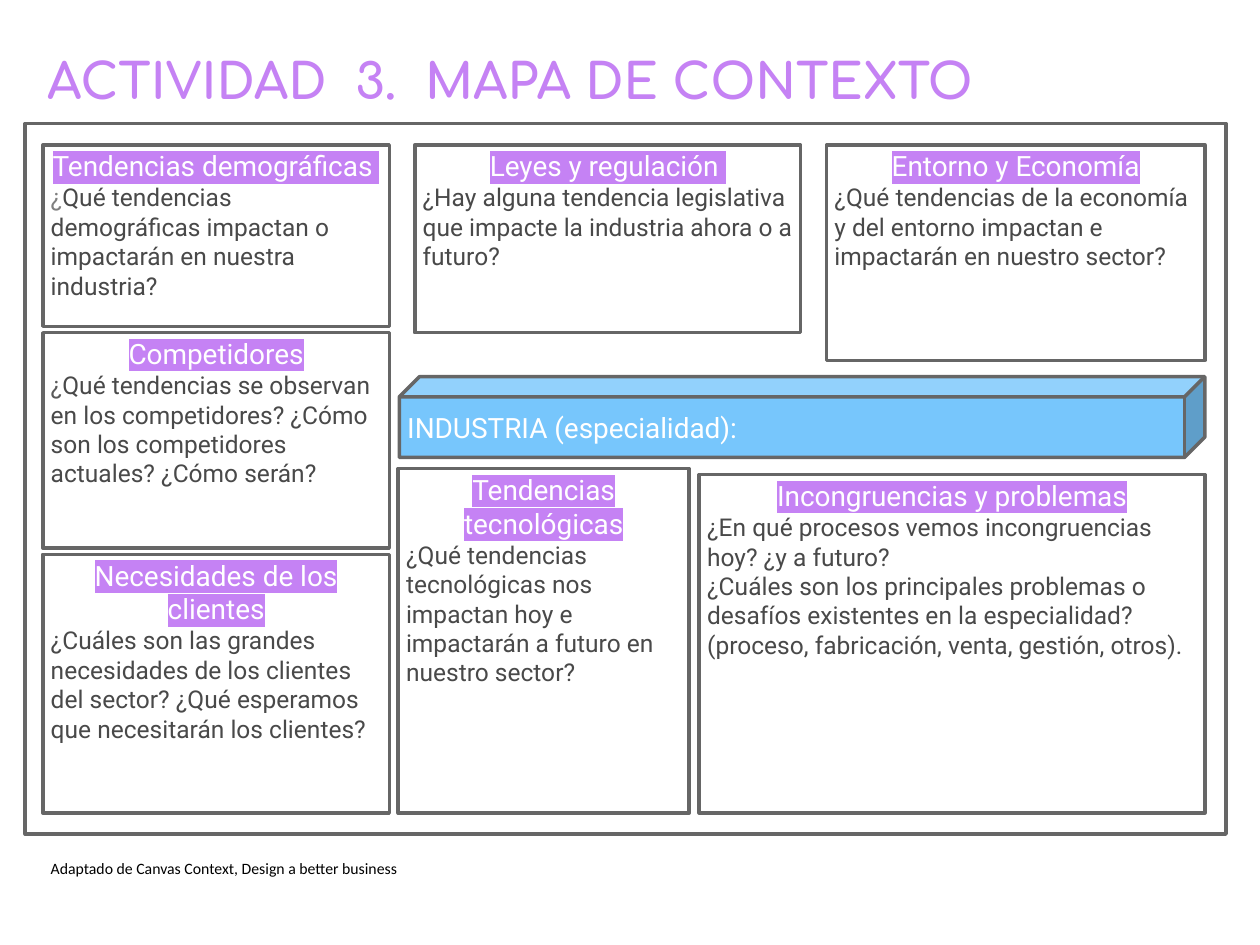
from lxml.etree import SubElement
from pptx import Presentation
from pptx.dml.color import RGBColor
from pptx.enum.shapes import MSO_SHAPE as Shape
from pptx.enum.text import MSO_ANCHOR as Anchor, MSO_AUTO_SIZE as AutoSize, PP_ALIGN as Align
from pptx.oxml.ns import qn
from pptx.util import Pt

COLORS = {
    "purple": "C582F4",
    "blue": "77C6FC",
    "border": "666666",
    "text": "494949",
    "gray": "7F7F7F",
    "mid_gray": "595959",
    "white": "FFFFFF",
    "black": "000000",
}

LEFT, LEFT_WIDTH, RIGHT, TOP, BOTTOM = 24.5, 198, 688.5, 82.8, 464.6

CARDS = [
    ("Tendencias demográficas ", (LEFT, TOP, LEFT_WIDTH, 103.7), "gray",
     ["¿Qué tendencias demográficas impactan o impactarán en nuestra industria?"]),
    ("Leyes y regulación ", (237, TOP, 220.5, 107.3), "text",
     ["¿Hay alguna tendencia legislativa que impacte la industria ahora o a futuro?"]),
    ("Entorno y Economía", (472.3, TOP, RIGHT - 472.3, 123.2), "text",
     ["¿Qué tendencias de la economía y del entorno impactan e impactarán en nuestro sector?"]),
    ("Necesidades de los clientes", (LEFT, 316.8, LEFT_WIDTH, BOTTOM - 316.8), "text",
     ["¿Cuáles son las grandes necesidades de los clientes del sector? "
      "¿Qué esperamos que necesitarán los clientes?"]),
    ("Incongruencias y problemas", (399.6, 271.2, RIGHT - 399.6, BOTTOM - 271.2), "text",
     ["¿En qué procesos vemos incongruencias hoy? ¿y a futuro?",
      "¿Cuáles son los principales problemas o desafíos existentes en la especialidad? "
      "(proceso, fabricación, venta, gestión, otros)."]),
    ("Tendencias tecnológicas", (227.5, 267.8, 166.3, BOTTOM - 267.8), "text",
     ["¿Qué tendencias tecnológicas nos impactan hoy e impactarán a futuro en nuestro sector?"]),
    ("Competidores", (LEFT, 190.1, LEFT_WIDTH, 123.1), "mid_gray",
     ["¿Qué tendencias se observan en los competidores? "
      "¿Cómo son los competidores actuales? ¿Cómo serán?"]),
]


def rgb(name):
    """Return the palette colour with this name."""
    return RGBColor.from_string(COLORS[name])


def add_run(paragraph, text, size=14, font="Roboto", color="text", bold=False, highlight=None):
    """Append formatted text to a paragraph."""
    run = paragraph.add_run()
    run.text = text
    run.font.size = Pt(size)
    run.font.name = font
    run.font.bold = bold
    run.font.color.rgb = rgb(color)
    if highlight:
        properties = run.font._element
        mark = SubElement(properties, qn("a:highlight"))
        SubElement(mark, qn("a:srgbClr")).set("val", COLORS[highlight])
        properties.find(qn("a:solidFill")).addnext(mark)


class SlideBuilder:
    """Hold the style and the current slide."""

    line_width = 2
    inset_x = 4.5
    inset_y = 2.25

    def __init__(self, slide):
        """Keep the slide that receives the elements."""
        self.slide = slide

    def prepare_text(self, shape, anchor=Anchor.TOP):
        """Set wrapping and margins and return the first paragraph."""
        frame = shape.text_frame
        frame.word_wrap = True
        frame.vertical_anchor = anchor
        frame.margin_left = frame.margin_right = Pt(self.inset_x)
        frame.margin_top = frame.margin_bottom = Pt(self.inset_y)
        paragraph = frame.paragraphs[0]
        paragraph.alignment = Align.LEFT
        return paragraph

    def box(self, bounds, kind=Shape.RECTANGLE, fill=None, line="border", width=line_width):
        """Add an outlined preset shape."""
        shape = self.slide.shapes.add_shape(kind, *map(Pt, bounds))
        shape.shadow.inherit = False
        if fill:
            shape.fill.solid()
            shape.fill.fore_color.rgb = rgb(fill)
        else:
            shape.fill.background()
        shape.line.color.rgb = rgb(line)
        shape.line.width = Pt(width)
        return shape

    def card(self, heading, bounds, mark_color, questions):
        """Add a box with a highlighted heading and its questions."""
        shape = self.box(bounds, fill="white")
        paragraph = self.prepare_text(shape)
        paragraph.alignment = Align.CENTER
        add_run(paragraph, heading, size=16, color="white", highlight="purple")
        for question in questions:
            paragraph = shape.text_frame.add_paragraph()
            paragraph.alignment = Align.LEFT
            if mark_color == "text":
                add_run(paragraph, question)
            else:
                add_run(paragraph, question[0], color=mark_color)
                add_run(paragraph, question[1:])

    def bar(self, text, bounds):
        """Add the blue block with its label."""
        shape = self.box(bounds, kind=Shape.CUBE, fill="blue")
        shape.adjustments[0] = 0.25
        add_run(self.prepare_text(shape, Anchor.MIDDLE), text, size=16, color="white")

    def caption(self, text, bounds):
        """Add the source line."""
        shape = self.box(bounds, line="white", width=0.75)
        add_run(self.prepare_text(shape), text, size=9, font="Calibri", color="black")
        shape.text_frame.auto_size = AutoSize.SHAPE_TO_FIT_TEXT

    def title(self, text, bounds):
        """Add the slide title."""
        shape = self.slide.shapes.add_textbox(*map(Pt, bounds))
        paragraph = self.prepare_text(shape)
        shape.text_frame.margin_left = Pt(12.5)
        paragraph.line_spacing = 0.9
        add_run(paragraph, text, size=28, font="Comfortaa", color="purple", bold=True)


def main():
    """Build and save the context map."""
    presentation = Presentation()
    presentation.slide_width, presentation.slide_height = Pt(720), Pt(540)
    builder = SlideBuilder(presentation.slides.add_slide(presentation.slide_layouts[6]))
    builder.box((14.4, 70.6, 686.2, 406))
    builder.caption("Adaptado de Canvas Context, Design a better business", (LEFT, 488.2, 327, 15.3))
    for card in CARDS:
        builder.card(*card)
    builder.bar("INDUSTRIA (especialidad):", (228.2, 215.3, RIGHT - 228.2, 46.1))
    builder.title("ACTIVIDAD  3.  MAPA DE CONTEXTO", (14.4, 30.2, 593.3, 29.5))
    presentation.save("out.pptx")


if __name__ == "__main__":
    main()
